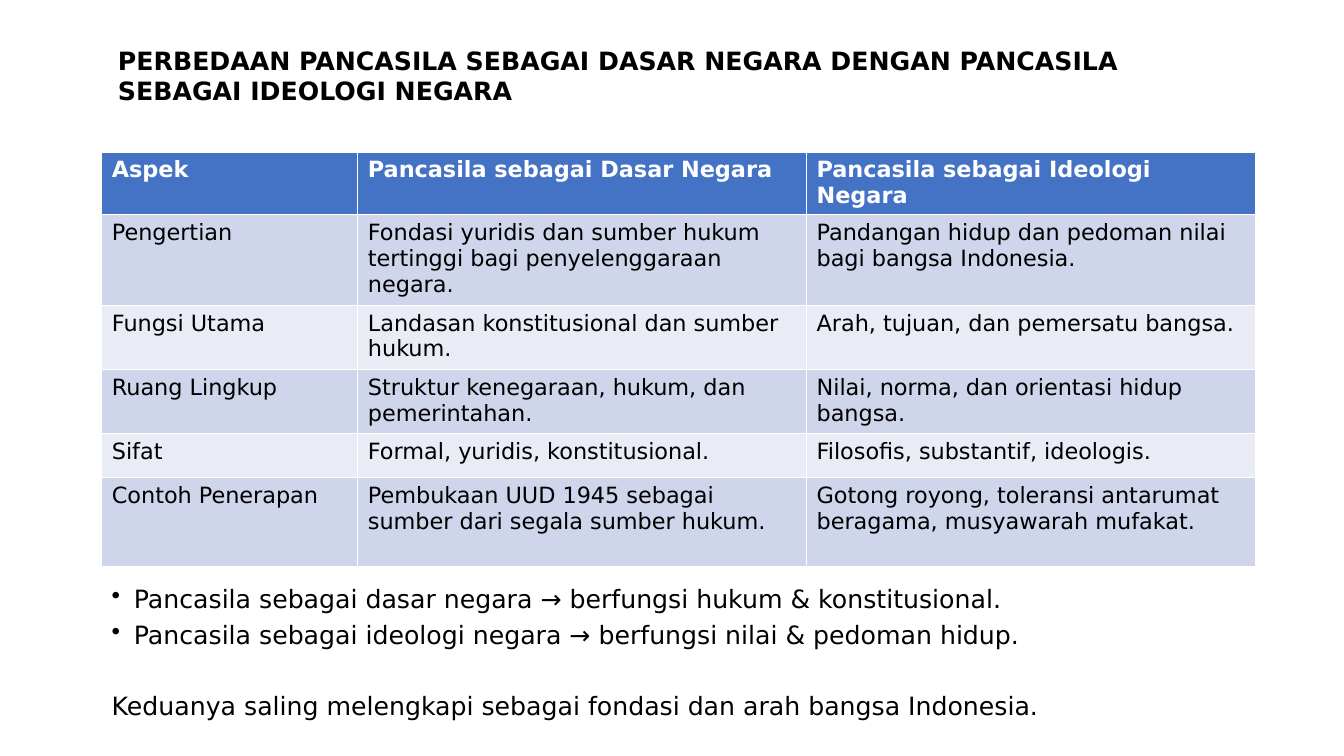
from pptx import Presentation
from pptx.dml.color import RGBColor
from pptx.enum import text
from pptx.oxml import parse_xml
from pptx.oxml.ns import nsdecls
from pptx.util import Inches, Pt

BLACK = RGBColor(0x00, 0x00, 0x00)
WHITE = RGBColor(0xFF, 0xFF, 0xFF)
HEADER_BLUE = RGBColor(0x44, 0x72, 0xC4)
BAND_DARK = RGBColor(0xCF, 0xD5, 0xEA)
BAND_LIGHT = RGBColor(0xE9, 0xEB, 0xF5)

HEADING = "PERBEDAAN PANCASILA SEBAGAI DASAR NEGARA DENGAN PANCASILA SEBAGAI IDEOLOGI NEGARA"
COMPARISON = [
    ("Aspek", "Pancasila sebagai Dasar Negara", "Pancasila sebagai Ideologi Negara"),
    ("Pengertian",
     "Fondasi yuridis dan sumber hukum tertinggi bagi penyelenggaraan negara.",
     "Pandangan hidup dan pedoman nilai bagi bangsa Indonesia."),
    ("Fungsi Utama",
     "Landasan konstitusional dan sumber hukum.",
     "Arah, tujuan, dan pemersatu bangsa."),
    ("Ruang Lingkup",
     "Struktur kenegaraan, hukum, dan pemerintahan.",
     "Nilai, norma, dan orientasi hidup bangsa."),
    ("Sifat", "Formal, yuridis, konstitusional.", "Filosofis, substantif, ideologis."),
    ("Contoh Penerapan",
     "Pembukaan UUD 1945 sebagai sumber dari segala sumber hukum.",
     "Gotong royong, toleransi antarumat beragama, musyawarah mufakat."),
]
COLUMN_WIDTHS = (2.54, 4.45, 4.45)
ROW_HEIGHTS = (0.62, 0.9, 0.64, 0.63, 0.44, 0.88)
FUNCTIONS = [
    "Pancasila sebagai dasar negara → berfungsi hukum & konstitusional.",
    "Pancasila sebagai ideologi negara → berfungsi nilai & pedoman hidup.",
]
CONCLUSION = "Keduanya saling melengkapi sebagai fondasi dan arah bangsa Indonesia."


def style_font(paragraph, size, color=BLACK, bold=False):
    """Give a paragraph the deck's typeface."""
    formats = {"name": "DejaVu Sans", "size": Pt(size), "bold": bold}
    for run in paragraph.runs:
        for attribute, value in formats.items():
            setattr(run.font, attribute, value)
        run.font.color.rgb = color


def place_heading(slide, left, top, width, height):
    """Fit the title placeholder to its box and write the heading."""
    heading = slide.shapes.title
    box = {"left": left, "top": top, "width": width, "height": height}
    for attribute, value in box.items():
        setattr(heading, attribute, Inches(value))
    frame = heading.text_frame
    frame.text = HEADING
    frame.word_wrap = True
    frame.auto_size = text.MSO_AUTO_SIZE.NONE
    frame.vertical_anchor = text.MSO_ANCHOR.TOP
    frame.paragraphs[0].alignment = text.PP_ALIGN.LEFT
    style_font(frame.paragraphs[0], 18, bold=True)


def place_comparison(slide, left, top):
    """Add the banded comparison table at its top left corner."""
    size = map(Inches, (left, top, sum(COLUMN_WIDTHS), sum(ROW_HEIGHTS)))
    comparison = slide.shapes.add_table(len(ROW_HEIGHTS), len(COLUMN_WIDTHS), *size).table
    for column, width in zip(comparison.columns, COLUMN_WIDTHS):
        column.width = Inches(width)
    for index, (row, height, entries) in enumerate(
            zip(comparison.rows, ROW_HEIGHTS, COMPARISON)):
        row.height = Inches(height)
        is_header = index == 0
        band = HEADER_BLUE if is_header else BAND_DARK if index % 2 else BAND_LIGHT
        for cell, entry in zip(row.cells, entries):
            cell.text = entry
            cell.fill.solid()
            cell.fill.fore_color.rgb = band
            style_font(cell.text_frame.paragraphs[0], 16,
                       WHITE if is_header else BLACK, is_header)


def add_bullet(paragraph, indent):
    """Turn a paragraph into a bullet with a hanging indent."""
    properties = paragraph._p.get_or_add_pPr()
    properties.set("marL", str(Inches(indent)))
    properties.set("indent", str(-Inches(indent)))
    properties.append(parse_xml(f'<a:buChar {nsdecls("a")} char="•"/>'))


def place_summary(slide, left, top, width, height):
    """Add the bulleted functions and the conclusion below them."""
    summary = slide.shapes.add_textbox(*map(Inches, (left, top, width, height)))
    frame = summary.text_frame
    frame.word_wrap = True
    for index, line in enumerate(FUNCTIONS + [CONCLUSION]):
        paragraph = frame.add_paragraph() if index else frame.paragraphs[0]
        paragraph.text = line
        if index < len(FUNCTIONS):
            add_bullet(paragraph, 0.22)
        if index:
            paragraph.space_before = Pt(4 if index < len(FUNCTIONS) else 29)
        style_font(paragraph, 18)


def main():
    """Build the slide and save it."""
    deck = Presentation()
    deck.slide_width, deck.slide_height = Inches(13.33), Inches(7.5)
    slide = deck.slides.add_slide(deck.slide_layouts[5])
    place_heading(slide, 1.07, 0.4, 11.32, 0.71)
    place_comparison(slide, 1.01, 1.51)
    place_summary(slide, 1.01, 5.74, 11.45, 1.72)
    deck.save("out.pptx")


if __name__ == "__main__":
    main()
